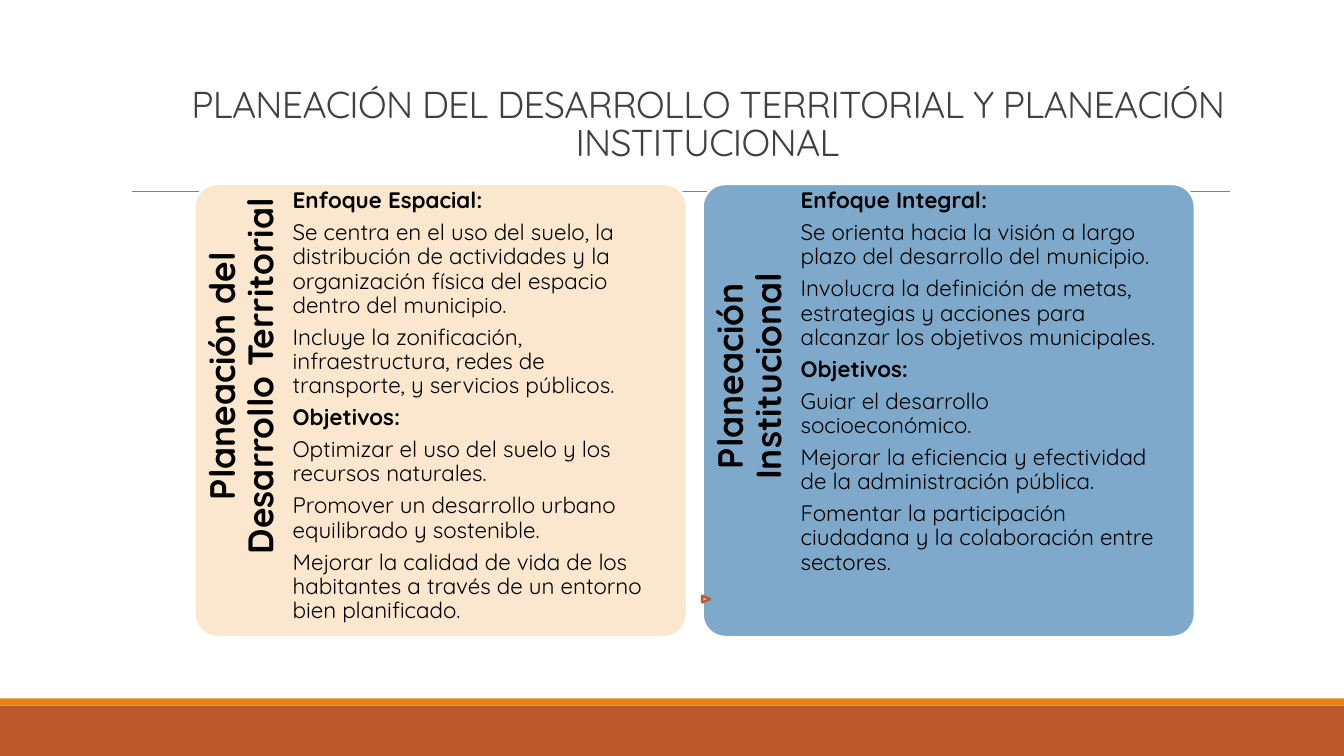
"""Build a slide comparing territorial development planning with institutional planning."""
from lxml import etree
from pptx import Presentation
from pptx import util as u
from pptx.dml.color import RGBColor
from pptx.enum import shapes, text
from pptx.oxml.ns import qn

Cm, Pt = u.Cm, u.Pt
FONT = "Quicksand"


def rgb(value):
    return RGBColor.from_string(value)


def format_text(tf, size, color, spacing, insets, after=0, align=None):
    tf.word_wrap = True
    tf.auto_size = text.MSO_AUTO_SIZE.NONE
    tf.vertical_anchor = text.MSO_ANCHOR.TOP
    tf.margin_left, tf.margin_top, tf.margin_right, tf.margin_bottom = map(Cm, insets)
    for p in tf.paragraphs:
        pPr = p._p.get_or_add_pPr()
        pPr.set("marL", "0")
        pPr.set("indent", "0")
        p.alignment = align
        p.line_spacing = spacing
        p.space_before, p.space_after = Pt(0), Pt(after)
        etree.SubElement(pPr, qn("a:buNone"))
        for r in p.runs:
            r.font.name, r.font.size = FONT, Pt(size)
            r.font.color.rgb = rgb(color)
            r.font.bold = p.text.endswith(":")


prs = Presentation()
prs.slide_width, prs.slide_height = Cm(25.4), Cm(14.29)
s = prs.slides.add_slide(prs.slide_layouts[3])
title, *bodies = s.placeholders

for top, height, color in [(13.34, 0.95, "BD582C"), (13.2, 0.14, "E48312")]:
    sp = s.shapes.add_shape(shapes.MSO_SHAPE.RECTANGLE, 0, Cm(top), prs.slide_width, Cm(height))
    sp.shadow.inherit = False
    sp.fill.solid()
    sp.fill.fore_color.rgb = rgb(color)
    sp.line.fill.background()

rule = s.shapes.add_connector(shapes.MSO_CONNECTOR.STRAIGHT, Cm(2.49), Cm(3.62), Cm(23.24), Cm(3.62))
rule.line.color.rgb = rgb("808080")
rule.line.width = Pt(0.5)
etree.SubElement(rule._element.spPr, qn("a:effectLst"))

cards = [
    ("Planeación del Desarrollo Territorial", "FBE6CE", [
        "Enfoque Espacial:",
        "Se centra en el uso del suelo, la distribución de actividades y la organización física "
        "del espacio dentro del municipio.",
        "Incluye la zonificación, infraestructura, redes de transporte, y servicios públicos.",
        "Objetivos:",
        "Optimizar el uso del suelo y los recursos naturales.",
        "Promover un desarrollo urbano equilibrado y sostenible.",
        "Mejorar la calidad de vida de los habitantes a través de un entorno bien planificado.",
    ]),
    ("Planeación Institucional", "7EA9CA", [
        "Enfoque Integral:",
        "Se orienta hacia la visión a largo plazo del desarrollo del municipio.",
        "Involucra la definición de metas, estrategias y acciones para alcanzar los objetivos "
        "municipales.",
        "Objetivos:",
        "Guiar el desarrollo socioeconómico.",
        "Mejorar la eficiencia y efectividad de la administración pública.",
        "Fomentar la participación ciudadana y la colaboración entre sectores.",
    ]),
]
card_top, card_width, card_height = 3.48, 9.3, 8.56
for i, (heading, color, lines) in enumerate(cards):
    left = 3.68 + i * 9.6
    sp = s.shapes.add_shape(shapes.MSO_SHAPE.ROUNDED_RECTANGLE, Cm(left), Cm(card_top),
                            Cm(card_width), Cm(card_height))
    sp.adjustments[0] = 0.05
    sp.shadow.inherit = False
    sp.fill.solid()
    sp.fill.fore_color.rgb = rgb(color)
    sp.line.color.rgb = rgb("FFFFFF")
    sp.line.width = Pt(1.25)

    label = s.shapes.add_textbox(Cm(left - 2.59), Cm(card_top + 2.59), Cm(7.04), Cm(1.85))
    label.rotation = 270
    label.text_frame.text = heading
    format_text(label.text_frame, 19, "000000", 0.9, (0, 0.18, 0.23, 0),
                align=text.PP_ALIGN.CENTER)
    label.text_frame.paragraphs[0].runs[0].font.bold = True

    body = bodies[i]
    body.left, body.top, body.width, body.height = map(
        Cm, (left + 1.85, card_top, 6.91, card_height))
    body.text_frame.text = "\n".join(lines)
    format_text(body.text_frame, 12, "000000", 0.9, (0, 0.1, 0, 0), after=4.2)
    s.shapes._spTree.append(body._element)

marker = s.shapes.add_shape(shapes.MSO_SHAPE.FLOWCHART_EXTRACT, Cm(13.28), Cm(11.25), Cm(0.13), Cm(0.15))
marker.rotation = 270
marker._element.spPr.xfrm.set("flipV", "1")
marker.shadow.inherit = False
marker.fill.solid()
marker.fill.fore_color.rgb = rgb("ADC8DD")
marker.line.color.rgb = rgb("BD582C")
marker.line.width = Pt(1.25)

title.left, title.top, title.width, title.height = map(Cm, (2.59, 1.42, 21.56, 1.55))
title.text_frame.text = "PLANEACIÓN DEL DESARROLLO TERRITORIAL Y PLANEACIÓN INSTITUCIONAL"
format_text(title.text_frame, 20, "404040", 0.85, (0.25,) * 4, align=text.PP_ALIGN.CENTER)
title.text_frame.paragraphs[0].runs[0].font._element.set("spc", "-40")
s.shapes._spTree.append(title._element)

prs.save("out.pptx")
